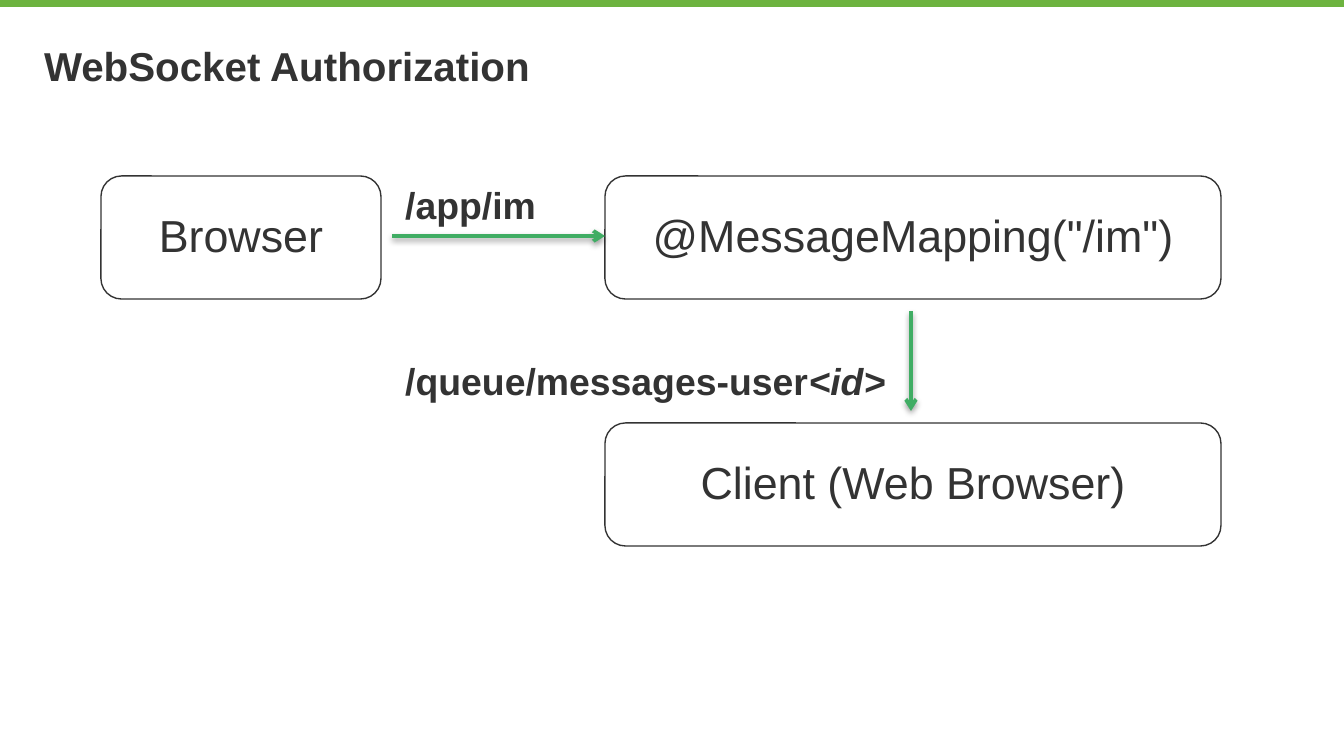
from dataclasses import dataclass

from lxml.etree import SubElement
from pptx import Presentation
from pptx.dml.color import RGBColor as Rgb
from pptx.enum.shapes import MSO_CONNECTOR as Connector, MSO_SHAPE as Shape
from pptx.enum.text import MSO_ANCHOR as Anchor, MSO_AUTO_SIZE as AutoSize, PP_ALIGN as Align
from pptx.oxml import parse_xml
from pptx.oxml.ns import nsdecls, qn
from pptx.util import Inches, Pt


@dataclass(frozen=True)
class Theme:
    font: str = "Arial"
    ink: Rgb = Rgb(0x33, 0x33, 0x33)
    paper: Rgb = Rgb(0xFF, 0xFF, 0xFF)
    banner: Rgb = Rgb(0x6D, 0xB3, 0x3F)
    arrow: Rgb = Rgb(0x40, 0xAD, 0x64)
    title_size: float = 21.6
    step_size: float = 24
    route_size: float = 20
    outline: float = 0.75
    arrow_width: float = 2


THEME = Theme()
WIDTH, HEIGHT = 1344, 756
MARGIN = 44
STEP_HEIGHT = 123
TOP_ROW, BOTTOM_ROW = 176, 423
BROWSER_LEFT, BROWSER_WIDTH = 101, 280
SERVER_LEFT, SERVER_WIDTH = 605, 616
GAP = 12
ROUTE_LEFT = BROWSER_LEFT + BROWSER_WIDTH + GAP - 1
REQUEST_Y, REPLY_X = 236, 911

TITLE = "WebSocket Authorization"
STEPS = [
    ("Browser", BROWSER_LEFT, TOP_ROW, BROWSER_WIDTH),
    ('@MessageMapping("/im")', SERVER_LEFT, TOP_ROW, SERVER_WIDTH),
    ("Client (Web Browser)", SERVER_LEFT, BOTTOM_ROW, SERVER_WIDTH),
]
ROUTES = [
    ([("/app/im", False)], TOP_ROW, 159),
    ([("/queue/messages-user", False), ("<id>", True)], 352, 519),
]
ARROWS = [
    (ROUTE_LEFT, REQUEST_Y, SERVER_LEFT, REQUEST_Y),
    (REPLY_X, TOP_ROW + STEP_HEIGHT + GAP, REPLY_X, BOTTOM_ROW - GAP),
]
ARROW_SHADOW = (
    f'<a:effectLst {nsdecls("a")}>'
    '<a:outerShdw blurRad="40000" dist="20000" dir="5400000" rotWithShape="0">'
    '<a:srgbClr val="000000"><a:alpha val="38000"/></a:srgbClr>'
    '</a:outerShdw></a:effectLst>'
)


def px(*lengths):
    return [round(length * Inches(10) / WIDTH) for length in lengths]


def set_font(font, size, bold=False):
    font.name = THEME.font
    font.size = Pt(size)
    font.bold = bold
    font.color.rgb = THEME.ink


def add_banner(slide):
    banner = slide.shapes.add_shape(Shape.RECTANGLE, *px(0, 0, WIDTH, 7))
    banner.shadow.inherit = False
    banner.fill.solid()
    banner.fill.fore_color.rgb = THEME.banner
    banner.line.fill.background()


def format_title(title):
    title.left, title.top, title.width, title.height = px(MARGIN, MARGIN, WIDTH - 2 * MARGIN, 42)
    frame = title.text_frame
    frame.text = TITLE
    frame.auto_size = AutoSize.NONE
    frame.vertical_anchor = Anchor.MIDDLE
    frame.margin_left = frame.margin_top = frame.margin_right = frame.margin_bottom = 0
    frame.paragraphs[0].alignment = Align.LEFT
    set_font(frame.paragraphs[0].font, THEME.title_size, bold=True)


def add_step(slide, caption, left, top, width):
    step = slide.shapes.add_shape(Shape.ROUNDED_RECTANGLE, *px(left, top, width, STEP_HEIGHT))
    step.shadow.inherit = False
    step.fill.solid()
    step.fill.fore_color.rgb = THEME.paper
    step.line.color.rgb = THEME.ink
    step.line.width = Pt(THEME.outline)
    step.text_frame.text = caption
    step.text_frame.vertical_anchor = Anchor.MIDDLE
    paragraph = step.text_frame.paragraphs[0]
    paragraph.alignment = Align.CENTER
    paragraph.line_spacing = 0.9
    set_font(paragraph.font, THEME.step_size)


def add_route(slide, parts, top, width):
    route = slide.shapes.add_textbox(*px(ROUTE_LEFT, top, width, 59))
    route.text_frame.word_wrap = False
    paragraph = route.text_frame.paragraphs[0]
    set_font(paragraph.font, THEME.route_size, bold=True)
    for words, italic in parts:
        run = paragraph.add_run()
        run.text = words
        if italic:
            run.font.italic = True


def add_arrow(slide, *ends):
    arrow = slide.shapes.add_connector(Connector.STRAIGHT, *px(*ends))
    arrow.line.color.rgb = THEME.arrow
    arrow.line.width = Pt(THEME.arrow_width)
    properties = arrow._element.spPr
    SubElement(properties.find(qn("a:ln")), qn("a:tailEnd"), type="arrow")
    properties.append(parse_xml(ARROW_SHADOW))


def main():
    deck = Presentation()
    deck.slide_width, deck.slide_height = px(WIDTH, HEIGHT)
    slide = deck.slides.add_slide(deck.slide_layouts[5])
    add_banner(slide)
    format_title(slide.shapes.title)
    for step in STEPS:
        add_step(slide, *step)
    for route in ROUTES:
        add_route(slide, *route)
    for arrow in ARROWS:
        add_arrow(slide, *arrow)
    deck.save("out.pptx")


if __name__ == "__main__":
    main()
